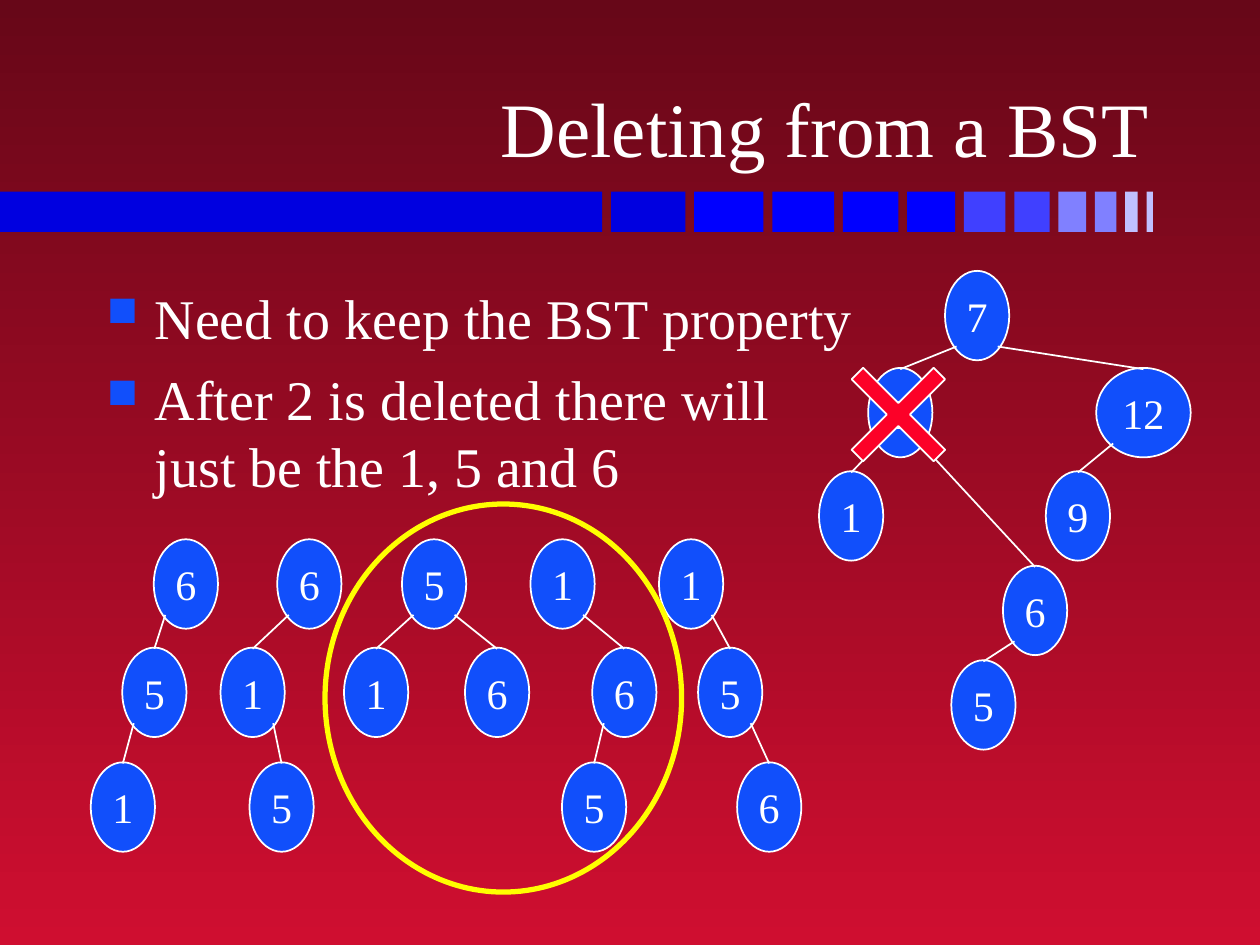
from dataclasses import dataclass
from itertools import pairwise

from lxml import etree
from pptx import Presentation
from pptx.dml.color import RGBColor
from pptx.enum.shapes import MSO_CONNECTOR, MSO_SHAPE
from pptx.enum.text import MSO_ANCHOR, PP_ALIGN
from pptx.oxml.ns import qn
from pptx.util import Inches, Pt


@dataclass(frozen=True)
class Theme:
    font: str = "Times New Roman"
    text: str = "FFFFFF"
    node: str = "114FFB"
    cross: str = "FC0128"
    highlight: str = "FFFF00"
    background: tuple = ("670718", "CF0E30")
    bars: tuple = ("0000E0", "0000FF", "4040FF", "8080FF", "C0C0FF")
    title_size: int = 44
    body_size: int = 32
    node_size: int = 24


@dataclass(frozen=True)
class Node:
    label: str
    left: float
    level: int
    children: tuple = ()
    width: float = 0.51

    @property
    def center(self):
        return self.left + self.width / 2


class SlideBuilder:
    def __init__(self, slide, theme):
        self.slide = slide
        self.theme = theme

    def background(self):
        fill = self.slide.background.fill
        fill.gradient()
        fill.gradient_angle = 270
        for stop, color, position in zip(fill.gradient_stops, self.theme.background, (0, 1)):
            stop.color.rgb = RGBColor.from_string(color)
            stop.position = position

    def shape(self, kind, left, top, width, height, fill=None, line=None, line_width=1):
        shape = self.slide.shapes.add_shape(
            kind, Inches(left), Inches(top), Inches(width), Inches(height))
        shape.shadow.inherit = False
        if fill:
            shape.fill.solid()
            shape.fill.fore_color.rgb = RGBColor.from_string(fill)
        else:
            shape.fill.background()
        if line:
            shape.line.color.rgb = RGBColor.from_string(line)
            shape.line.width = Pt(line_width)
        else:
            shape.line.fill.background()
        return shape

    def line(self, start, end):
        connector = self.slide.shapes.add_connector(
            MSO_CONNECTOR.STRAIGHT, *(Inches(value) for value in (*start, *end)))
        connector.line.color.rgb = RGBColor.from_string(self.theme.text)
        connector.line.width = Pt(1)
        etree.SubElement(connector._element.spPr, qn("a:effectLst"))

    def text_box(self, left, top, width, height, anchor=MSO_ANCHOR.TOP):
        box = self.slide.shapes.add_textbox(
            Inches(left), Inches(top), Inches(width), Inches(height))
        box.text_frame.word_wrap = True
        box.text_frame.vertical_anchor = anchor
        return box.text_frame

    def format(self, paragraph, size, alignment):
        paragraph.alignment = alignment
        for run in paragraph.runs:
            run.font.name = self.theme.font
            run.font.size = Pt(size)
            run.font.color.rgb = RGBColor.from_string(self.theme.text)

    def title(self, text):
        frame = self.text_box(0.74, 0.19, 8.48, 1.23, MSO_ANCHOR.BOTTOM)
        frame.text = text
        self.format(frame.paragraphs[0], self.theme.title_size, PP_ALIGN.RIGHT)

    def bullets(self, items):
        frame = self.text_box(0.75, 2.2, 8.5, 4.5)
        for index, item in enumerate(items):
            paragraph = frame.add_paragraph() if index else frame.paragraphs[0]
            paragraph.text = item
            properties = paragraph._p.get_or_add_pPr()
            properties.set("marL", str(Inches(0.38)))
            properties.set("indent", str(Inches(-0.38)))
            color = etree.SubElement(properties, qn("a:buClr"))
            etree.SubElement(color, qn("a:srgbClr"), val=self.theme.node)
            etree.SubElement(properties, qn("a:buSzPct"), val="75000")
            etree.SubElement(properties, qn("a:buChar"), char="■")
            if index:
                paragraph.space_before = Pt(8)
            self.format(paragraph, self.theme.body_size, PP_ALIGN.LEFT)

    def divider(self):
        """Draw the row of bars that narrow and pale towards the right."""
        lefts = (0, 4.85, 5.51, 6.13, 6.69, 7.2, 7.65, 8.05, 8.4, 8.69, 8.93, 9.1, 9.22)
        shades = (0, 0, 1, 1, 1, 1, 2, 2, 3, 3, 4, 4)
        for (left, following), shade in zip(pairwise(lefts), shades):
            self.shape(MSO_SHAPE.RECTANGLE, left, 1.52, following - left - 0.07, 0.32,
                       self.theme.bars[shade])

    def tree(self, node, tops):
        """Draw a node, its subtrees and the edges to them; tops holds each level's top."""
        top = tops[node.level]
        shape = self.shape(MSO_SHAPE.OVAL, node.left, top, node.width, 0.71,
                           self.theme.node, self.theme.text)
        frame = shape.text_frame
        frame.word_wrap = False
        frame.vertical_anchor = MSO_ANCHOR.MIDDLE
        frame.text = node.label
        self.format(frame.paragraphs[0], self.theme.node_size, PP_ALIGN.CENTER)
        for child in node.children:
            self.tree(child, tops)
            side = 1 if child.center > node.center else -1
            self.line((node.center + side * 0.32 * node.width, top + 0.6),
                      (child.center, tops[child.level] + 0.01))


MAIN_TOPS = (2.15, 2.92, 3.74, 4.49, 5.24)
MAIN_TREE = Node("7", 7.5, 0, (
    Node("2", 6.89, 1, (
        Node("1", 6.5, 2),
        Node("6", 7.96, 3, (Node("5", 7.55, 4),)))),
    Node("12", 8.7, 1, (Node("9", 8.3, 2),), width=0.75)))

CANDIDATE_TOPS = (4.28, 5.14, 6.05)
CANDIDATE_TREES = (
    Node("6", 1.22, 0, (Node("5", 0.97, 1, (Node("1", 0.72, 2),)),)),
    Node("6", 2.2, 0, (Node("1", 1.75, 1, (Node("5", 1.98, 2),)),)),
    Node("5", 3.19, 0, (Node("1", 2.73, 1), Node("6", 3.69, 1))),
    Node("1", 4.21, 0, (Node("6", 4.7, 1, (Node("5", 4.46, 2),)),)),
    Node("1", 5.23, 0, (Node("5", 5.54, 1, (Node("6", 5.85, 2),)),)),
)


def main():
    presentation = Presentation()
    presentation.slide_width = Inches(10)
    presentation.slide_height = Inches(7.5)
    theme = Theme()
    builder = SlideBuilder(
        presentation.slides.add_slide(presentation.slide_layouts[6]), theme)

    builder.background()
    builder.divider()
    builder.title("Deleting from a BST")
    builder.bullets(("Need to keep the BST property",
                     "After 2 is deleted there will\vjust be the 1, 5 and 6"))
    builder.tree(MAIN_TREE, MAIN_TOPS)
    for candidate in CANDIDATE_TREES:
        builder.tree(candidate, CANDIDATE_TOPS)
    builder.shape(MSO_SHAPE.OVAL, 2.58, 4, 2.83, 3.08, line=theme.highlight, line_width=3)
    cross = builder.shape(MSO_SHAPE.CROSS, 6.67, 2.83, 0.92, 0.92, theme.cross, theme.text)
    cross.adjustments[0] = 0.43
    cross.rotation = 45
    presentation.save("out.pptx")


if __name__ == "__main__":
    main()
